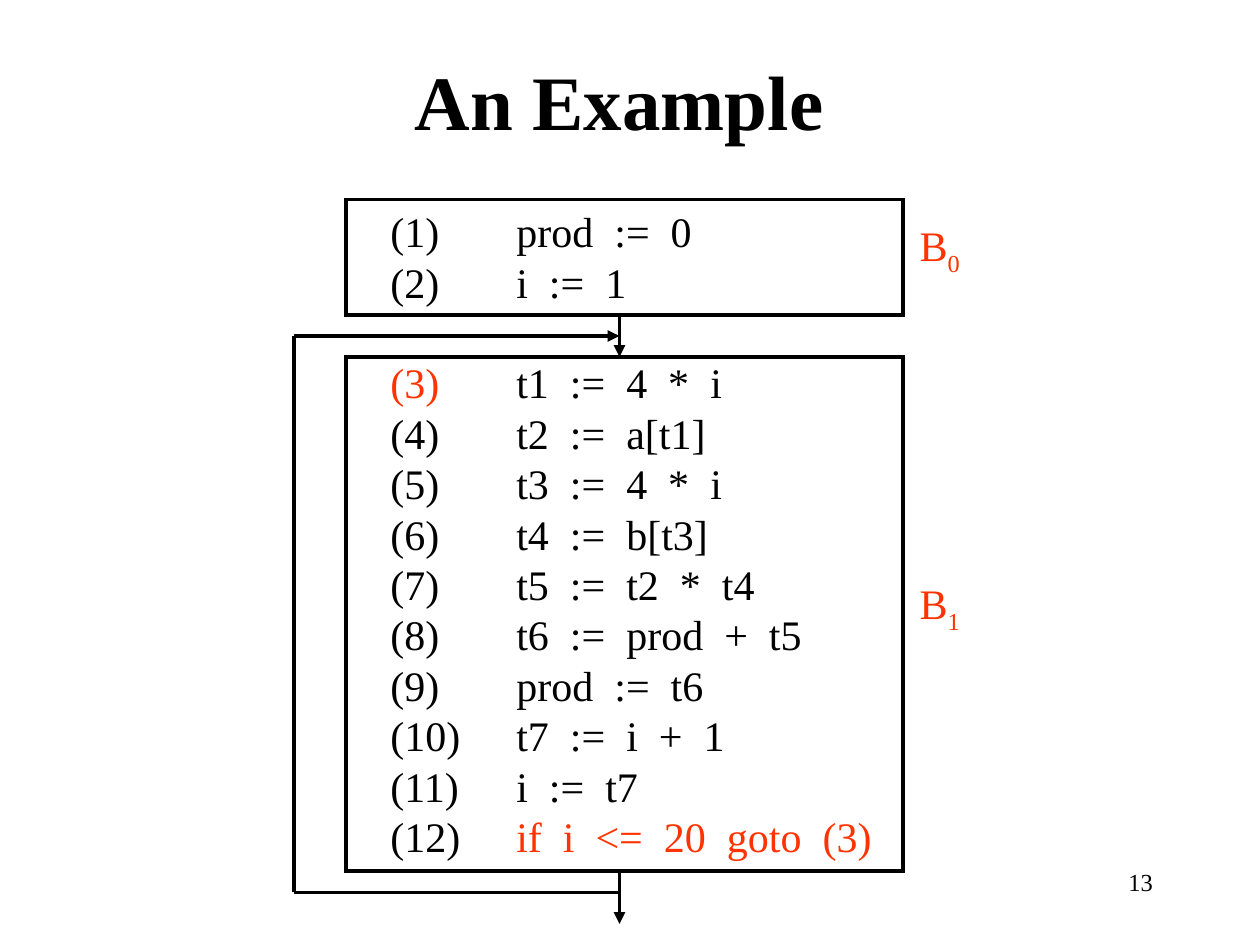
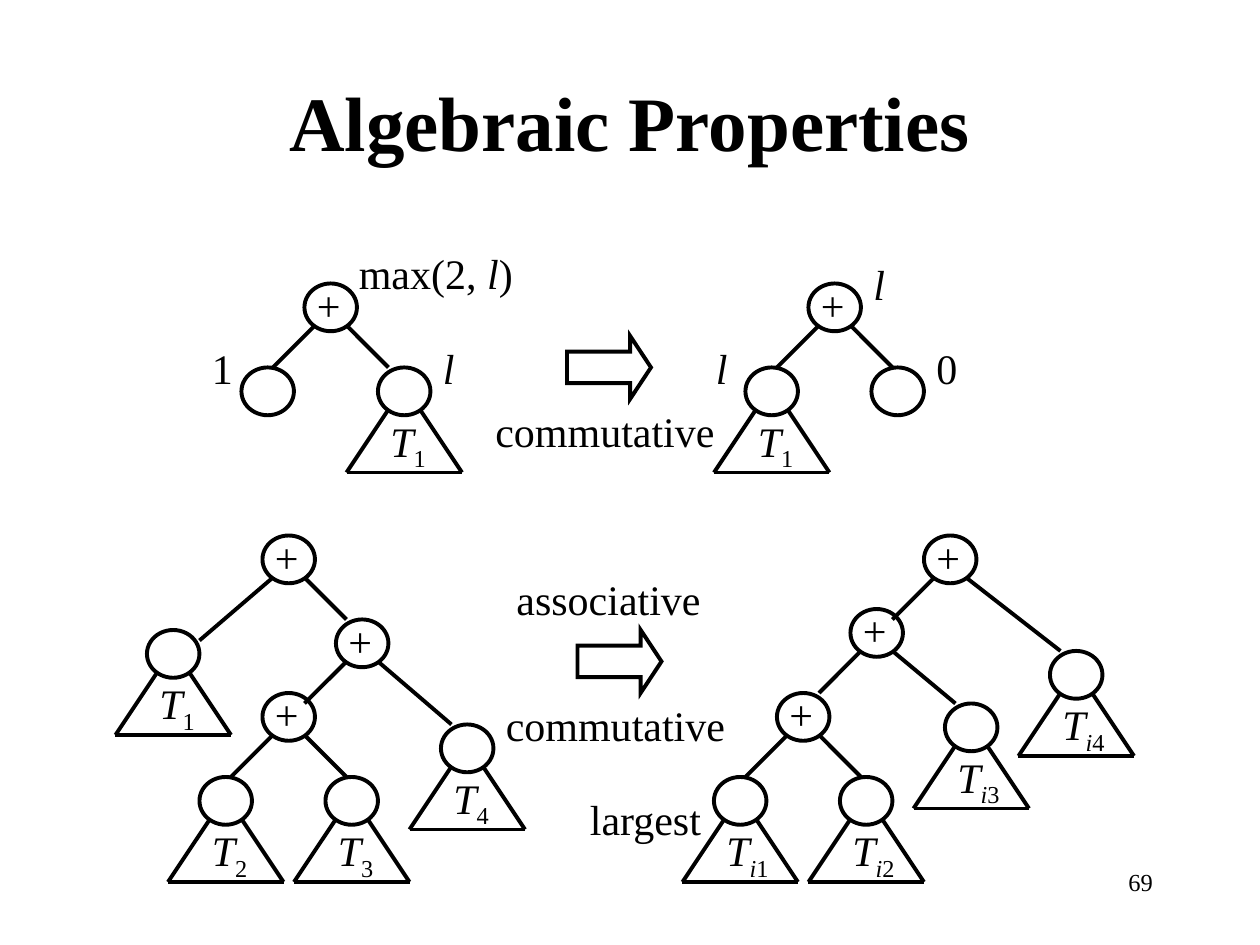
from dataclasses import dataclass

from lxml.etree import SubElement
from pptx import Presentation
from pptx.dml.color import RGBColor
from pptx.enum.shapes import MSO_CONNECTOR, MSO_SHAPE
from pptx.enum.text import MSO_ANCHOR, MSO_AUTO_SIZE, PP_ALIGN
from pptx.oxml.ns import qn
from pptx.util import Cm, Pt

FONT = "Times New Roman"
BLACK, RED = "000000", "FF3300"
BODY_SIZE = 24
LINE_WIDTH = Pt(2.25)
LEADING = 1.2  # line pitch per point of text size
TAB_STOP = 12


@dataclass
class Node:
    """Tree node; join is where the edge from its parent ends, seen from its corner."""
    x: float
    y: float
    label: str = ""
    children: tuple = ()
    join: tuple = (1, 0)


# All places are in twelfths of an inch: the slide is 120 by 90.
# A run is (text, flags): i italic, _ subscript, r red.
BLOCK_CODE = [
    [("(1)\tprod  :=  0", "")],
    [("(2)\ti  :=  1", "")],
    [("(3)", "r"), ("\tt1  :=  4  *  i", "")],
    [("(4)\tt2  :=  a[t1]", "")],
    [("(5)\tt3  :=  4  *  i", "")],
    [("(6)\tt4  :=  b[t3]", "")],
    [("(7)\tt5  :=  t2  *  t4", "")],
    [("(8)\tt6  :=  prod  +  t5", "")],
    [("(9)\tprod  :=  t6", "")],
    [("(10)\tt7  :=  i  +  1", "")],
    [("(11)\ti  :=  t7", "")],
    [("(12)\t", ""), ("if  i  <=  20  goto  (3)", "r")],
]
SECOND_BLOCK_START = 2
BLOCKS = [(33, 19, 53, 11), (33, 34, 53, 49)]
BLOCK_LABELS = [("0", 21), ("1", 55.1)]
FLOW_X, LOOP_X, LOOP_TOP, LOOP_BOTTOM = 59, 28, 32, 85
FLOW_LINES = [  # start, end, has arrowhead
    ((FLOW_X, 30), (FLOW_X, 34), True),
    ((FLOW_X, 83), (FLOW_X, 88), True),
    ((FLOW_X, LOOP_BOTTOM), (LOOP_X, LOOP_BOTTOM), False),
    ((LOOP_X, LOOP_BOTTOM), (LOOP_X, LOOP_TOP), False),
    ((LOOP_X, LOOP_TOP), (FLOW_X, LOOP_TOP), True),
]

TREES = [
    Node(29, 27, "+", (Node(23, 35, join=(3, 0)), Node(36, 35, "1"))),
    Node(77, 27, "+", (Node(71, 35, "1", join=(3, 0)), Node(83, 35, join=(2, 0)))),
    Node(25, 51, "+", (
        Node(14, 60, "1", join=(5, 1)),
        Node(32, 59, "+", (
            Node(25, 66, "+", (
                Node(19, 74, "2", join=(3, 0)),
                Node(31, 74, "3", join=(2, 0))), (4, 1)),
            Node(42, 69, "4"))))),
    Node(88, 51, "+", (
        Node(81, 58, "+", (
            Node(74, 66, "+", (
                Node(68, 74, "i1", join=(3, 0)),
                Node(80, 74, "i2", join=(2, 0))), (4, 0)),
            Node(90, 67, "i3")), (4, 1)),
        Node(100, 62, "i4"))),
]
TREE_LABELS = [  # left, top, width, runs
    (19, 32, 4.4, [("1", "")]),
    (41, 32, 3.5, [("l", "i")]),
    (33, 23, 18, [("max(2, ", ""), ("l", "i"), (")", "")]),
    (67, 32, 3.5, [("l", "i")]),
    (88, 32, 4.4, [("0", "")]),
    (82, 24, 3.5, [("l", "i")]),
    (46, 38, 23.3, [("commutative", "")]),
    (47, 66, 23.3, [("commutative", "")]),
    (48, 54, 20, [("associative", "")]),
    (55, 75, 13.1, [("largest", "")]),
]
REWRITE_ARROWS = [(54, 32), (55, 60)]


def grid(*values):
    return [Cm(value * 2.54 / 12) for value in values]


def color(hex_string):
    return RGBColor.from_string(hex_string)


def add_tab_stop(paragraph, position):
    tabs = SubElement(paragraph._p.get_or_add_pPr(), qn("a:tabLst"))
    SubElement(tabs, qn("a:tab"), pos=str(grid(position)[0]), algn="l")


def add_text(slide, place, paragraphs, size=BODY_SIZE, bold=False,
             align=PP_ALIGN.LEFT, wrap=False):
    frame = slide.shapes.add_textbox(*grid(*place)).text_frame
    frame.word_wrap = wrap
    frame.auto_size = MSO_AUTO_SIZE.NONE if wrap else MSO_AUTO_SIZE.SHAPE_TO_FIT_TEXT
    for index, runs in enumerate(paragraphs):
        paragraph = frame.add_paragraph() if index else frame.paragraphs[0]
        paragraph.alignment = align
        paragraph.line_spacing = Pt(size * LEADING)
        if any("\t" in text for text, flags in runs):
            add_tab_stop(paragraph, TAB_STOP)
        font = paragraph.font
        font.name, font.size, font.bold = FONT, Pt(size), bold
        font.color.rgb = color(BLACK)
        for text, flags in runs:
            run = paragraph.add_run()
            run.text = text
            if "i" in flags:
                run.font.italic = True
            if "r" in flags:
                run.font.color.rgb = color(RED)
            if "_" in flags:
                run._r.get_or_add_rPr().set("baseline", "-25000")
    return frame


def style_line(line):
    """Set the common stroke with sharp corners and return its XML element."""
    line.color.rgb = color(BLACK)
    line.width = LINE_WIDTH
    stroke = line._get_or_add_ln()
    SubElement(stroke, qn("a:miter"), lim="800000")
    return stroke


def add_outline(slide, kind, place):
    shape = slide.shapes.add_shape(kind, *grid(*place))
    shape.shadow.inherit = False
    shape.fill.background()
    style_line(shape.line)
    return shape


def add_line(slide, start, end, arrow=False):
    connector = slide.shapes.add_connector(MSO_CONNECTOR.STRAIGHT, *grid(*start, *end))
    stroke = style_line(connector.line)
    if arrow:
        SubElement(stroke, qn("a:tailEnd"), type="triangle")
    SubElement(connector._element.spPr, qn("a:effectLst"))


def add_page(presentation, title, title_corner, number):
    slide = presentation.slides.add_slide(presentation.slide_layouts[6])
    frame = add_text(slide, (*title_corner, 102, 15), [[(title, "")]], 44, True,
                     PP_ALIGN.CENTER, True)
    frame.vertical_anchor = MSO_ANCHOR.MIDDLE
    add_text(slide, (86, 82, 25, 6), [[(number, "")]], 14, align=PP_ALIGN.RIGHT, wrap=True)
    return slide


def add_subtree(slide, x, y, index):
    """Draw the triangle below a node and its name, T with the index."""
    left, right = (x - 3, y + 10), (x + 8, y + 10)
    add_line(slide, (x + 1, y + 4), left)
    add_line(slide, (x + 4, y + 4), right)
    add_line(slide, left, right)
    name = [("T", "i")] + [(mark, "i_" if mark == "i" else "_") for mark in index]
    add_text(slide, (x, y + 4.6, 6 if len(index) == 1 else 6.7, 6), [name])


def add_tree(slide, node):
    x, y = node.x, node.y
    add_outline(slide, MSO_SHAPE.OVAL, (x, y, 5, 4.55))
    if node.label == "+":
        add_text(slide, (x, y - 1, 4.7, 6), [[("+", "")]])
    elif node.label:
        add_subtree(slide, x, y, node.label)
    for child, side in zip(node.children, (1, 4)):
        dx, dy = child.join
        add_line(slide, (x + side, y + 4), (child.x + dx, child.y + dy))
        add_tree(slide, child)


def build_flow_graph(presentation):
    slide = add_page(presentation, "An Example", (8, 2), "13")
    code = add_text(slide, (36, 19, 49, 63.5), BLOCK_CODE)
    code.paragraphs[SECOND_BLOCK_START].space_before = Pt(BODY_SIZE * LEADING)
    for place in BLOCKS:
        add_outline(slide, MSO_SHAPE.RECTANGLE, place)
    for start, end, arrow in FLOW_LINES:
        add_line(slide, start, end, arrow)
    for index, top in BLOCK_LABELS:
        add_text(slide, (86.4, top, 6.4, 6), [[("B", "r"), (index, "r_")]])


def build_tree_rewrites(presentation):
    slide = add_page(presentation, "Algebraic Properties", (9, 4), "69")
    for tree in TREES:
        add_tree(slide, tree)
    for left, top in REWRITE_ARROWS:
        arrow = add_outline(slide, MSO_SHAPE.RIGHT_ARROW, (left, top, 8, 6))
        arrow.adjustments[1] = 0.33
    for left, top, width, runs in TREE_LABELS:
        add_text(slide, (left, top, width, 6), [runs])


def main():
    presentation = Presentation()
    presentation.slide_width, presentation.slide_height = grid(120, 90)
    build_flow_graph(presentation)
    build_tree_rewrites(presentation)
    presentation.save("out.pptx")


if __name__ == "__main__":
    main()
